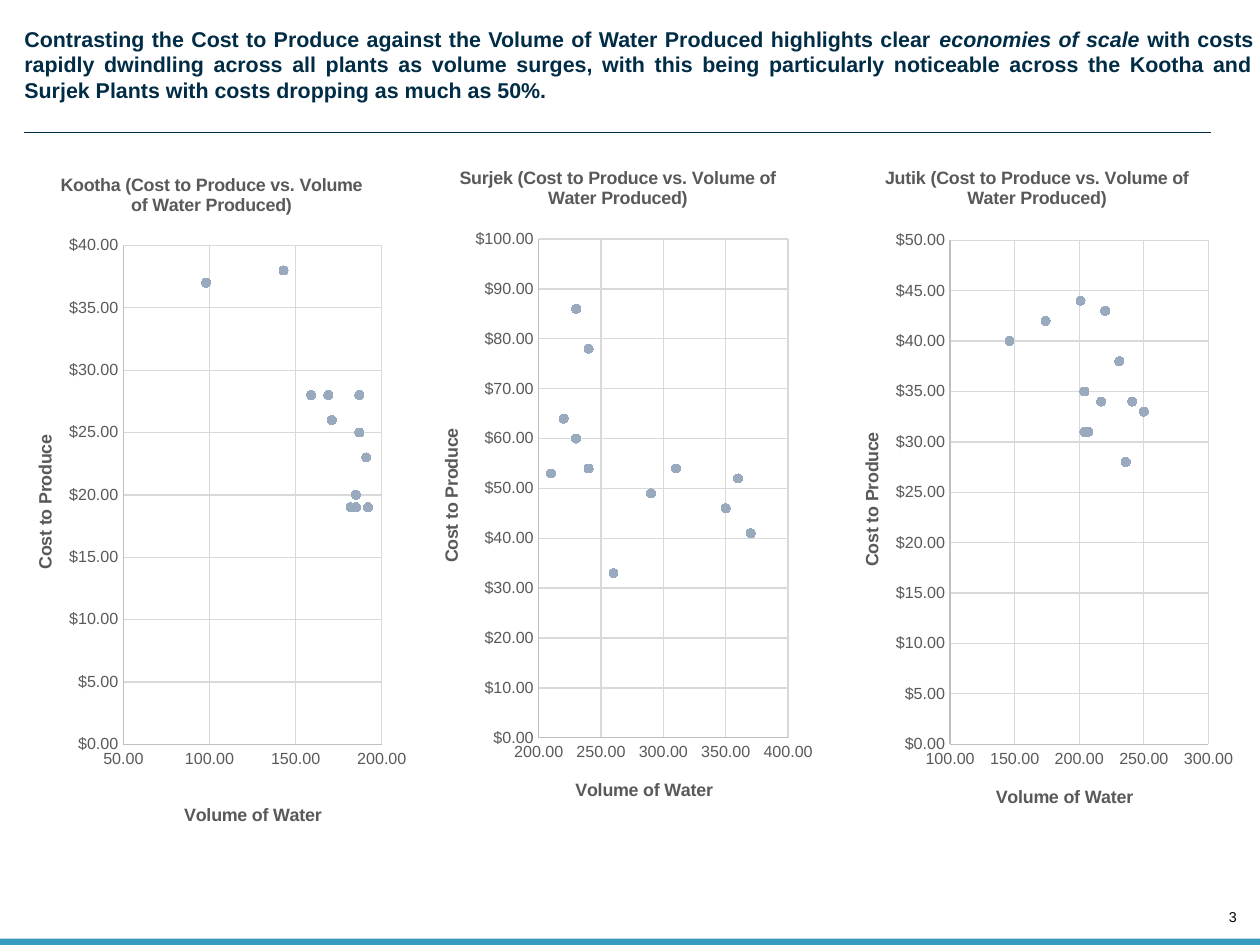
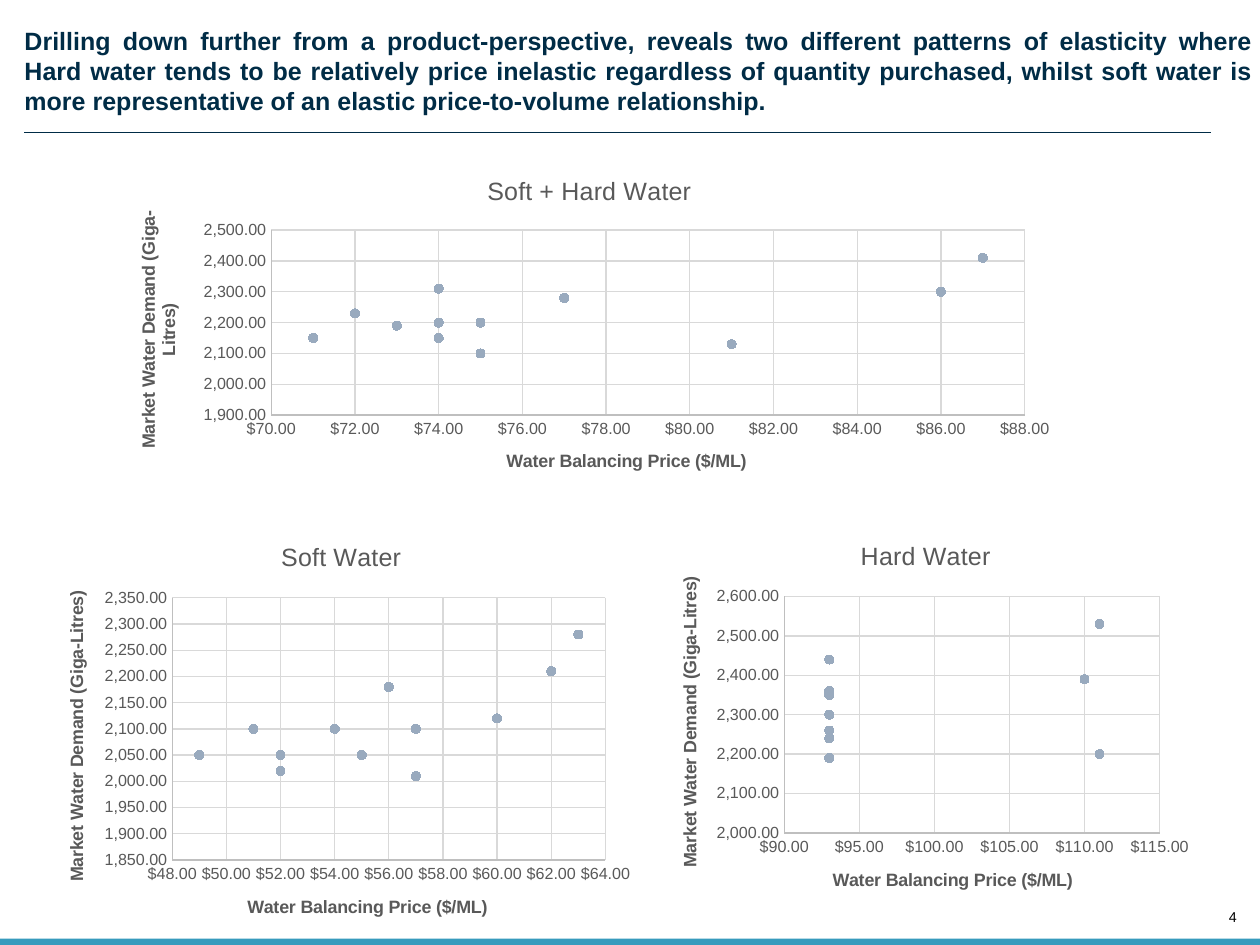
from lxml.etree import SubElement
from pptx import Presentation
from pptx.chart.data import XyChartData
from pptx.dml.color import RGBColor
from pptx.enum.chart import XL_CHART_TYPE, XL_MARKER_STYLE, XL_TICK_MARK
from pptx.enum.shapes import MSO_CONNECTOR, MSO_SHAPE
from pptx.enum.text import MSO_ANCHOR, PP_ALIGN
from pptx.oxml.ns import qn
from pptx.util import Inches, Pt

FONT = "Arial"
NAVY, TEAL, GRAY, GRID, EDGE, DOT, INK = (
    "002C46", "379BBD", "595959", "D9D9D9", "BFBFBF", "99AABE", "000000")
WIDE, HIGH = 9.8, 7.35
CASH, COUNT, PLAIN = '"$"#,##0.00', "#,##0.00", "0.00"


def tint(code):
    return RGBColor.from_string(code)


def style(font, size, color, bold=False, slant=False):
    font.name = FONT
    font.size = Pt(size)
    font.bold = bold
    font.italic = slant
    font.color.rgb = tint(color)


def write(frame, text, size=12, color=INK, bold=False, slant=False, align=None):
    para = frame.paragraphs[0]
    if align is not None:
        para.alignment = align
    run = para.add_run()
    run.text = text
    style(run.font, size, color, bold, slant)


def clear(frame, anchor, wrap):
    frame.margin_left = frame.margin_right = 0
    frame.margin_top = frame.margin_bottom = 0
    frame.vertical_anchor = anchor
    frame.word_wrap = wrap


def stroke(line, color):
    line.color.rgb = tint(color)
    line.width = Pt(0.75)


def place(node, index, **parts):
    for old in node.findall(qn("c:layout")):
        node.remove(old)
    layout = SubElement(node, qn("c:layout"))
    node.insert(index, layout)
    manual = SubElement(layout, qn("c:manualLayout"))
    for name, value in parts.items():
        SubElement(manual, qn("c:" + name)).set("val", str(value))


def head(slide, box, parts, size):
    title = slide.shapes.title
    title.left, title.top, title.width, title.height = map(Inches, box)
    clear(title.text_frame, MSO_ANCHOR.TOP, True)
    for text, slant in parts:
        write(title.text_frame, text, size=size, color=NAVY, bold=True,
              slant=slant, align=PP_ALIGN.JUSTIFY)
    rule = slide.shapes.add_connector(
        MSO_CONNECTOR.STRAIGHT, Inches(box[0]), Inches(1.03),
        Inches(9.42), Inches(1.03))
    stroke(rule.line, NAVY)
    SubElement(rule.element.spPr, qn("a:effectLst"))


def foot(slide, box, number):
    left, top, wide, high = box
    band = slide.shapes.add_shape(MSO_SHAPE.RECTANGLE, *map(Inches, box))
    band.shadow.inherit = False
    band.fill.solid()
    band.fill.fore_color.rgb = tint(TEAL)
    band.line.fill.background()
    label = slide.shapes.add_textbox(
        Inches(left + wide - 0.32), Inches(top - 0.23), Inches(0.14), Inches(0.13))
    clear(label.text_frame, MSO_ANCHOR.BOTTOM, False)
    write(label.text_frame, str(number), size=8, align=PP_ALIGN.RIGHT)


def scale(axis, name, span, form):
    axis.minimum_scale, axis.maximum_scale, axis.major_unit = span
    axis.major_tick_mark = axis.minor_tick_mark = XL_TICK_MARK.NONE
    axis.has_major_gridlines = True
    stroke(axis.major_gridlines.format.line, GRID)
    stroke(axis.format.line, EDGE)
    style(axis.tick_labels.font, 9, GRAY)
    axis.tick_labels.number_format = form
    axis.tick_labels.number_format_is_linked = False
    axis.has_title = True
    write(axis.axis_title.text_frame, name, size=10, color=GRAY, bold=True)


def scatter(slide, box, plot, title, names, spans, forms, dots, size, bold):
    left, top, wide, high = box
    data = XyChartData()
    series = data.add_series("Series 1")
    for x, y in dots:
        series.add_data_point(x, y)
    chart = slide.shapes.add_chart(
        XL_CHART_TYPE.XY_SCATTER, *map(Inches, box), data).chart
    style(chart.font, 10, INK)
    chart.has_legend = False
    chart.has_title = True
    write(chart.chart_title.text_frame, title, size=size, color=GRAY, bold=bold)
    chart.plots[0].vary_by_categories = False
    for axis, name, span, form in zip(
            (chart.category_axis, chart.value_axis), names, spans, forms):
        scale(axis, name, span, form)
    turn = chart.value_axis.axis_title.element.find(".//" + qn("a:bodyPr"))
    turn.set("rot", "-5400000")
    turn.set("vert", "horz")
    line = chart.plots[0].series[0]
    line.smooth = False
    line.format.line.fill.background()
    line.marker.style = XL_MARKER_STYLE.CIRCLE
    line.marker.size = 5
    line.marker.format.fill.solid()
    line.marker.format.fill.fore_color.rgb = tint(DOT)
    stroke(line.marker.format.line, DOT)
    area = chart.element.find(".//" + qn("c:plotArea"))
    place(area, 0, layoutTarget="inner", xMode="edge", yMode="edge",
          x=(plot[0] - left) / wide, y=(plot[1] - top) / high,
          w=plot[2] / wide, h=plot[3] / high)
    return chart


def plant(slide, box, plot, name, spans, dots):
    return scatter(slide, box, plot,
                   f"{name} (Cost to Produce vs. Volume of Water Produced)",
                   ("Volume of Water", "Cost to Produce"), spans,
                   (PLAIN, CASH), dots, 10, True)


def market(slide, box, plot, name, spans, dots):
    return scatter(slide, box, plot, name,
                   ("Water Balancing Price ($/ML)",
                    "Market Water Demand (Giga-Litres)"), spans,
                   (CASH, COUNT), dots, 14, False)


def page(deck, number, parts, size, high):
    slide = deck.slides.add_slide(deck.slide_layouts[5])
    foot(slide, (0, HIGH - 0.05, WIDE, 0.05), number)
    head(slide, (0.19, 0.2, 9.56, high), parts, size)
    return slide


KOOTHA = [(182, 19), (187, 25), (185, 20), (192, 19), (98, 37), (185, 19),
          (187, 28), (159, 28), (191, 23), (171, 26), (169, 28), (143, 38)]
SURJEK = [(210, 53), (230, 60), (220, 64), (240, 78), (230, 86), (240, 54),
          (290, 49), (310, 54), (370, 41), (350, 46), (360, 52), (260, 33)]
JUTIK = [(250, 33), (207, 31), (201, 44), (174, 42), (204, 31), (146, 40),
         (204, 35), (217, 34), (231, 38), (236, 28), (241, 34), (220, 43)]
BOTH = [(86, 2300), (87, 2410), (81, 2130), (73, 2190), (71, 2150),
        (72, 2230), (77, 2280), (75, 2200), (74, 2150), (75, 2100),
        (74, 2200), (74, 2310)]
HARD = [(110, 2390), (111, 2530), (111, 2200), (93, 2350), (93, 2240),
        (93, 2360), (93, 2440), (93, 2300), (93, 2260), (93, 2190),
        (93, 2300), (93, 2440)]
SOFT = [(62, 2210), (63, 2280), (52, 2050), (52, 2020), (49, 2050),
        (51, 2100), (60, 2120), (57, 2100), (55, 2050), (57, 2010),
        (54, 2100), (56, 2180)]

deck = Presentation()
deck.slide_width, deck.slide_height = Inches(WIDE), Inches(HIGH)

costs = page(deck, 3, [
    ("Contrasting the Cost to Produce against the Volume of Water Produced "
     "highlights clear ", False),
    ("economies of scale", True),
    (" with costs rapidly dwindling across all plants as volume surges, with "
     "this being particularly noticeable across the Kootha and Surjek Plants "
     "with costs dropping as much as 50%.", False)], 12, 0.61)
first = plant(costs, (0.06, 1.16, 3.17, 5.33), (0.96, 1.91, 2.01, 3.88),
              "Kootha", ((50, 200, 50), (0, 40, 5)), KOOTHA)
place(first.category_axis.axis_title.element, 1,
      xMode="edge", yMode="edge", x=0.425, y=0.95)
plant(costs, (3.22, 1.11, 3.17, 5.33), (4.19, 1.86, 1.94, 3.88),
      "Surjek", ((200, 400, 50), (0, 100, 10)), SURJEK)
plant(costs, (6.48, 1.11, 3.17, 5.37), (7.39, 1.87, 2.01, 3.92),
      "Jutik", ((100, 300, 50), (0, 50, 5)), JUTIK)

demand = page(deck, 4, [
    ("Drilling down further from a product-perspective, reveals two different "
     "patterns of elasticity where Hard water tends to be relatively price "
     "inelastic regardless of quantity purchased, whilst soft water is more "
     "representative of an elastic price-to-volume relationship.", False)],
    14, 0.71)
market(demand, (0.86, 1.22, 7.45, 2.65), (2.11, 1.79, 5.86, 1.44),
       "Soft + Hard Water", ((70, 88, 2), (1900, 2500, 100)), BOTH)
market(demand, (5.07, 4.05, 4.26, 3.08), (6.1, 4.64, 2.92, 1.84),
       "Hard Water", ((90, 115, 5), (2000, 2600, 100)), HARD)
market(demand, (0.31, 4.05, 4.69, 3.3), (1.34, 4.65, 3.37, 2.04),
       "Soft Water", ((48, 64, 2), (1850, 2350, 50)), SOFT)

deck.save("out.pptx")
